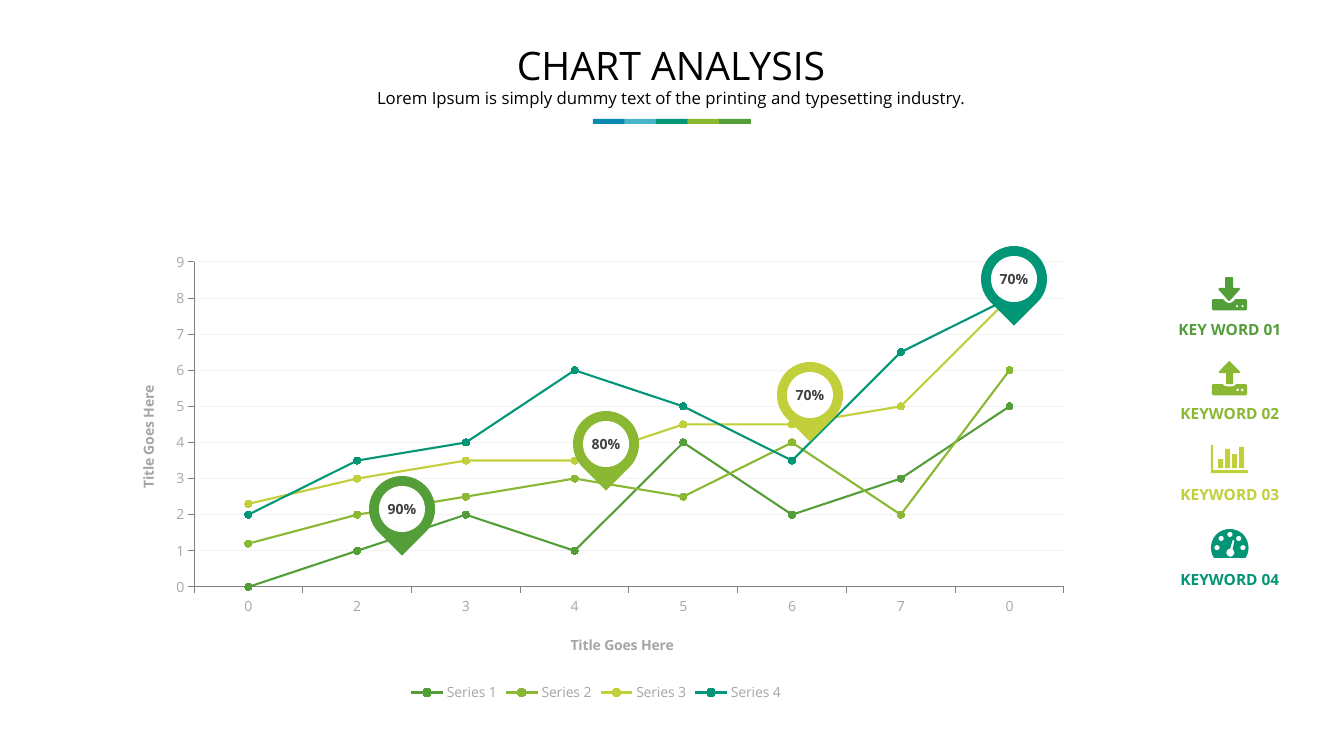
from math import cos, radians, sin

from lxml.etree import SubElement
from pptx import Presentation
from pptx.chart.data import CategoryChartData
from pptx.dml.color import RGBColor
from pptx.enum.chart import (XL_CHART_TYPE, XL_LEGEND_POSITION, XL_MARKER_STYLE,
                             XL_TICK_LABEL_POSITION, XL_TICK_MARK)
from pptx.enum.shapes import MSO_SHAPE
from pptx.enum.text import MSO_ANCHOR, PP_ALIGN
from pptx.oxml.ns import qn
from pptx.util import Pt

PX = 12192000 / 1344
FONT = "Open Sans"
COLORS = {
    "green": "549E39", "lime": "8AB833", "yellow": "C0CF3A", "teal": "029676",
    "aqua": "4AB5C4", "blue": "0989B1", "white": "FFFFFF", "black": "000000",
    "ink": "404040", "gray": "A6A6A6", "axis": "808080", "grid": "F2F2F2",
}
RGB = {name: RGBColor.from_string(value) for name, value in COLORS.items()}
THEME = ["green", "lime", "yellow", "teal"]


def write(frame, text, size, color, bold=False, margin=0):
    frame.text = text
    frame.vertical_anchor = MSO_ANCHOR.MIDDLE
    frame.margin_left = frame.margin_right = round(margin * 2 * PX)
    frame.margin_top = frame.margin_bottom = round(margin * PX)
    paragraph = frame.paragraphs[0]
    paragraph.alignment = PP_ALIGN.CENTER
    font = paragraph.runs[0].font
    font.name, font.size, font.bold = FONT, Pt(size), bold
    font.color.rgb = RGB[color]


def arc(x, y, radius, start=0, end=360):
    turns = [radians(start + (end - start) * step / 24) for step in range(25)]
    return [(x + radius * cos(turn), y + radius * sin(turn)) for turn in turns]


deck = Presentation()
deck.slide_width, deck.slide_height = round(1344 * PX), round(756 * PX)
slide = deck.slides.add_slide(deck.slide_layouts[5])
shapes = slide.shapes
painted = []

heading = shapes.title
heading.left, heading.top, heading.width, heading.height = [
    round(length * PX) for length in (273, 40, 796, 49)]
write(heading.text_frame, "CHART ANALYSIS", 28, "black", margin=5)

subtitle = shapes.add_textbox(*[round(length * PX) for length in (332, 83, 679, 30)])
subtitle.text_frame.word_wrap = True
write(subtitle.text_frame,
      "Lorem Ipsum is simply dummy text of the printing and typesetting industry.",
      12, "black", margin=5)

for index, color in enumerate(["blue", "aqua", "teal", "lime", "green"]):
    stripe = shapes.add_shape(MSO_SHAPE.RECTANGLE, round((593 + index * 63 / 2) * PX),
                              round(119 * PX), round(32 * PX), round(5 * PX))
    painted.append((stripe, color))

data = CategoryChartData()
data.categories = ["0", "2", "3", "4", "5", "6", "7", "0"]
data.add_series("Series 1", [0, 1, 2, 1, 4, 2, 3, 5])
data.add_series("Series 2", [1.2, 2, 2.5, 3, 2.5, 4, 2, 6])
data.add_series("Series 3", [2.3, 3, 3.5, 3.5, 4.5, 4.5, 5, 8])
data.add_series("Series 4", [2, 3.5, 4, 6, 5, 3.5, 6.5, 8])
chart = shapes.add_chart(XL_CHART_TYPE.LINE_MARKERS,
                         *[round(length * PX) for length in (109, 244, 974, 462)],
                         data).chart
chart.has_title = False
chart.font.name, chart.font.size = FONT, Pt(10)
chart.font.color.rgb = RGB["gray"]
chart.has_legend = True
chart.legend.position = XL_LEGEND_POSITION.BOTTOM
chart.legend.include_in_layout = False
chart.plots[0].vary_by_categories = False

for series, color in zip(chart.plots[0].series, THEME):
    series.smooth = False
    series.format.line.width = Pt(1.5)
    series.format.line.color.rgb = RGB[color]
    series.marker.style, series.marker.size = XL_MARKER_STYLE.CIRCLE, 5
    series.marker.format.fill.solid()
    series.marker.format.fill.fore_color.rgb = RGB[color]
    series.marker.format.line.color.rgb = RGB[color]

for axis in (chart.category_axis, chart.value_axis):
    axis.major_tick_mark = XL_TICK_MARK.OUTSIDE
    axis.minor_tick_mark = XL_TICK_MARK.NONE
    axis.format.line.color.rgb = RGB["axis"]
    axis.format.line.width = Pt(0.75)
    axis.axis_title.text_frame.text = "Title Goes Here"
    title_font = axis.axis_title.text_frame.paragraphs[0].runs[0].font
    title_font.name, title_font.size, title_font.bold = FONT, Pt(10), True
    title_font.color.rgb = RGB["gray"]
chart.category_axis.tick_label_position = XL_TICK_LABEL_POSITION.LOW
values = chart.value_axis
values.minimum_scale, values.maximum_scale, values.major_unit = 0, 9, 1
values.has_major_gridlines = True
values.major_gridlines.format.line.color.rgb = RGB["grid"]
values.major_gridlines.format.line.width = Pt(0.75)

plot_area = chart.element.find(".//" + qn("c:plotArea"))
x_title, y_title = plot_area.findall(".//" + qn("c:title"))
for parent, place, position in [
        (plot_area, 0, {"layoutTarget": "inner", "xMode": "edge", "yMode": "edge",
                        "x": 85 / 974, "y": 18 / 462, "w": 870 / 974, "h": 325 / 462}),
        (x_title, 1, {"xMode": "edge", "yMode": "edge", "x": 459 / 974, "y": 388 / 462}),
        (y_title, 1, {"xMode": "edge", "yMode": "edge", "x": 26 / 974, "y": 139 / 462})]:
    for default in parent.findall(qn("c:layout")):
        parent.remove(default)
    layout = SubElement(parent, qn("c:layout"))
    parent.insert(place, layout)
    manual = SubElement(layout, qn("c:manualLayout"))
    for key, value in position.items():
        SubElement(manual, qn("c:" + key)).set("val", str(value))

pins = [("90%", 476), ("80%", 411), ("70%", 362), ("70%", 246)]
for index, ((percent, top), color) in enumerate(zip(pins, THEME)):
    left = 369 + index * 204
    pin = shapes.add_shape(MSO_SHAPE.TEAR, round(left * PX), round(top * PX),
                           round(66 * PX), round(66 * PX))
    pin.rotation = 135
    badge = shapes.add_shape(MSO_SHAPE.OVAL, round((left + 10) * PX),
                             round((top + 10) * PX), round(46 * PX), round(46 * PX))
    badge.text_frame.word_wrap = False
    write(badge.text_frame, percent, 10, "ink", True)
    painted += [(pin, color), (badge, "white")]

download = [
    [(10, 222), (110, 222), (143, 252), (173, 262), (203, 252), (236, 222), (340, 222),
     (353, 235), (353, 320), (340, 333), (10, 333), (0, 320), (0, 235)],
    [(70, 110), (132, 110), (132, 8), (140, 0), (204, 0), (212, 8), (212, 110),
     (275, 110), (280, 124), (182, 234), (172, 242), (162, 234), (65, 124)],
    arc(252, 292, 11), arc(306, 292, 11)]
upload = [
    [(10, 232), (110, 232), (120, 246), (150, 254), (203, 254), (230, 246), (240, 232),
     (340, 232), (353, 245), (353, 330), (340, 343), (10, 343), (0, 330), (0, 245)],
    [(75, 121), (68, 108), (163, 8), (173, 0), (182, 8), (282, 108), (275, 121),
     (212, 121), (212, 222), (203, 232), (150, 232), (141, 222), (141, 121)],
    arc(257, 290, 13), arc(303, 290, 13)]
bars = [[(0, 0), (20, 0), (20, 252), (373, 252), (373, 282), (0, 282)]]
for left, top in [(71, 141), (141, 40), (212, 91), (282, 20)]:
    bars.append([(left, top), (left + 50, top), (left + 50, 232), (left, 232)])
gauge = [arc(188, 188, 188, 148, 392),
         arc(194, 237, 40, -55, 265) + [(218, 108), (236, 114)]]
for x, y in [(60, 187), (102, 95), (190, 55), (278, 95), (320, 187)]:
    gauge.append(arc(x, y, 26))

keywords = [("KEY WORD 01", 320, download, 1212, 277), ("KEYWORD 02", 404, upload, 1212, 361),
            ("KEYWORD 03", 485, bars, 1211, 445), ("KEYWORD 04", 570, gauge, 1211, 529)]
for (keyword, label_top, outlines, left, top), color in zip(keywords, THEME):
    label = shapes.add_textbox(*[round(length * PX) for length in (1170, label_top, 120, 19)])
    label.text_frame.word_wrap = False
    write(label.text_frame, keyword, 11, color, True)
    builder = shapes.build_freeform(*outlines[0][0], scale=PX / 10)
    builder.add_line_segments(outlines[0][1:], close=True)
    for outline in outlines[1:]:
        builder.move_to(*outline[0])
        builder.add_line_segments(outline[1:], close=True)
    icon = builder.convert_to_shape(round(left * PX), round(top * PX))
    painted.append((icon, color))

for shape, color in painted:
    shape.shadow.inherit = False
    shape.fill.solid()
    shape.fill.fore_color.rgb = RGB[color]
    shape.line.fill.background()

deck.save("out.pptx")
